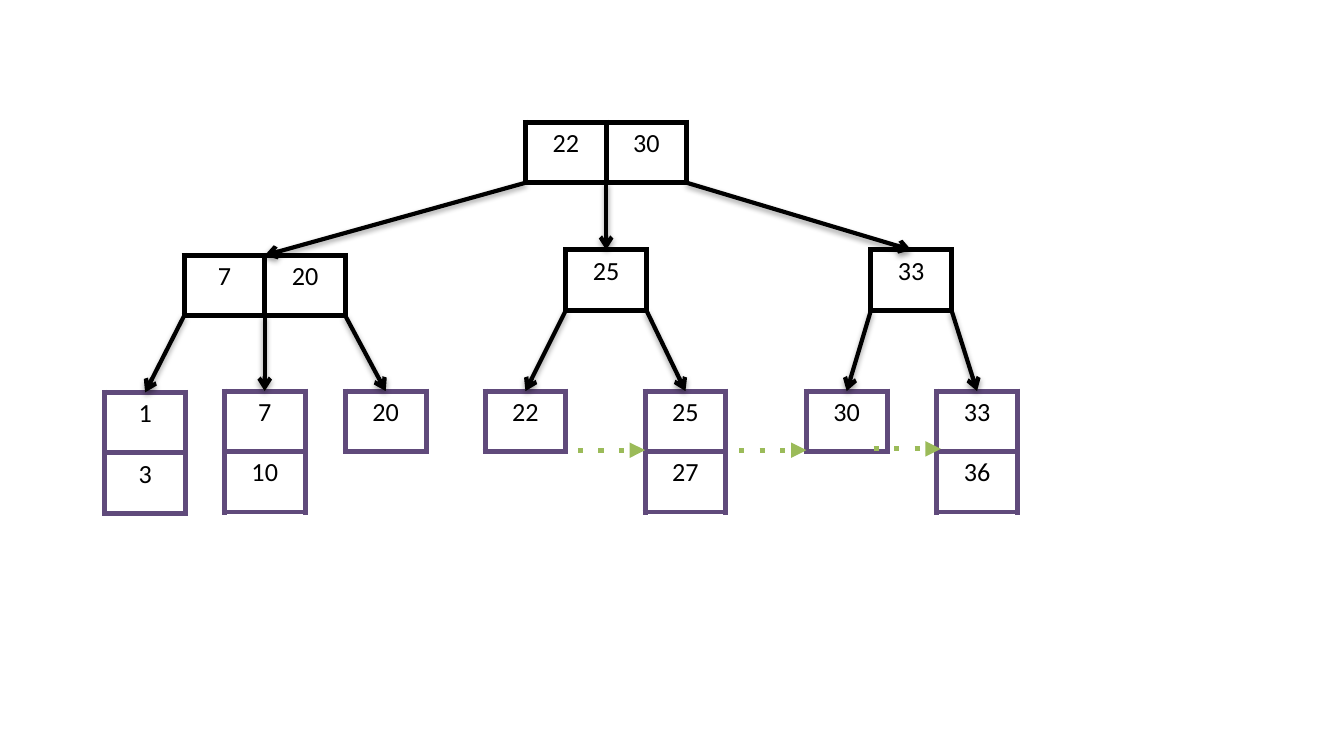
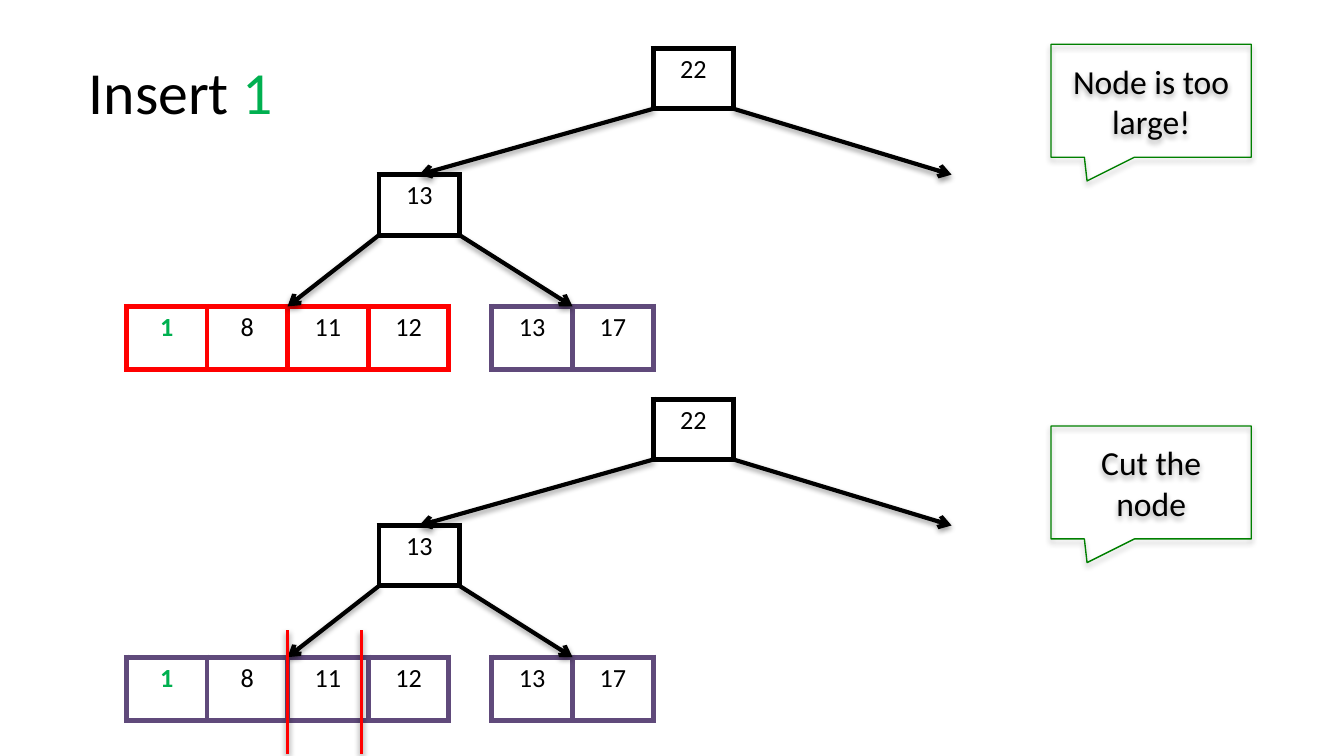
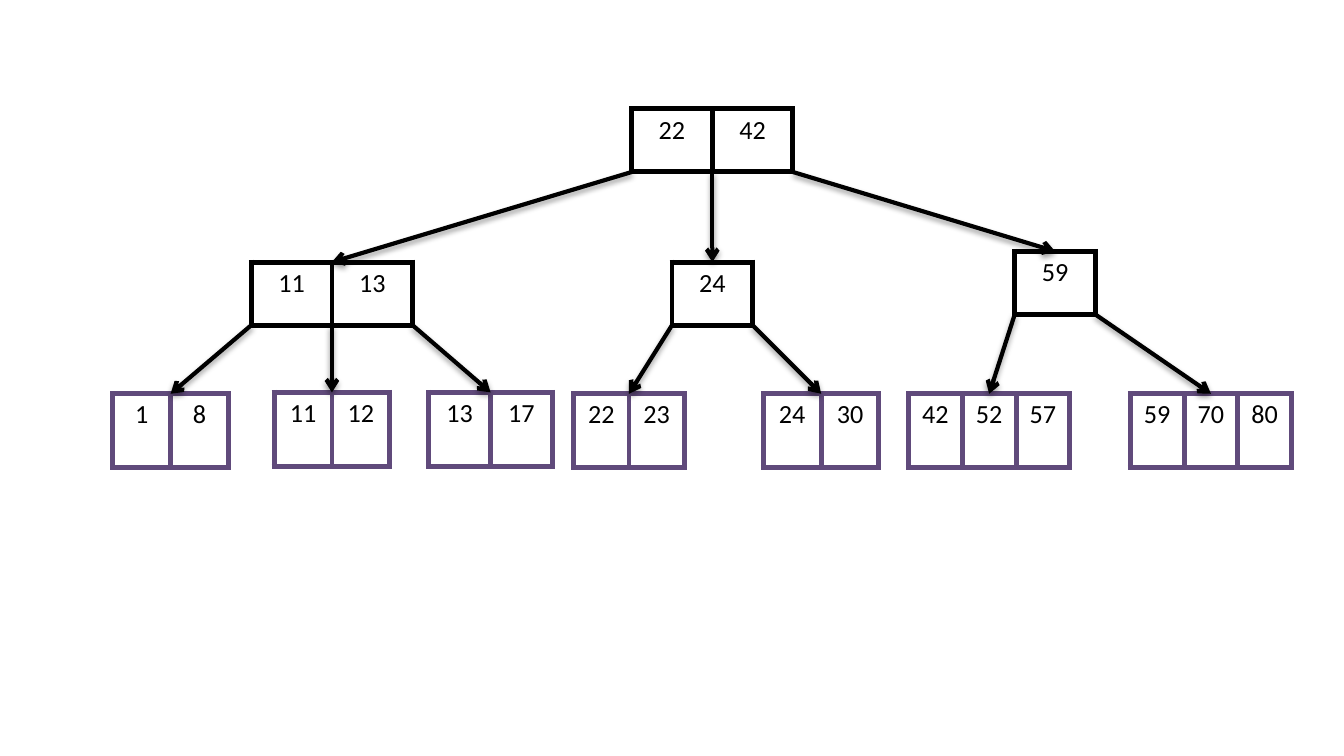
from dataclasses import dataclass

from lxml import etree
from pptx import Presentation
from pptx.dml.color import RGBColor
from pptx.enum.shapes import MSO_CONNECTOR, MSO_SHAPE
from pptx.enum.text import MSO_ANCHOR, MSO_AUTO_SIZE, PP_ALIGN
from pptx.oxml.ns import qn
from pptx.util import Inches, Pt

STRAIGHT = MSO_CONNECTOR.STRAIGHT
CALLOUT = MSO_SHAPE.RECTANGULAR_CALLOUT
TOP, MIDDLE = MSO_ANCHOR.TOP, MSO_ANCHOR.MIDDLE
GROW = MSO_AUTO_SIZE.SHAPE_TO_FIT_TEXT
LEFT, CENTER = PP_ALIGN.LEFT, PP_ALIGN.CENTER

FONT = "Calibri"
BLACK = "000000"
PURPLE = "604A7B"
RED = "FF0000"
NEW_KEY_GREEN = "00B050"
LINK_GREEN = "9BBB59"
CALLOUT_GREEN = "008000"
TITLE_ONLY, BLANK = 5, 6


@dataclass
class Node:
    keys: list
    x: float
    y: float
    children: tuple = ()
    cell_width: float = 0.6
    cell_height: float = 0.45
    color: str = BLACK
    stacked: bool = False
    new_key: str = ""

    @property
    def rows(self):
        return len(self.keys) if self.stacked else 1

    @property
    def columns(self):
        return 1 if self.stacked else len(self.keys)

    @property
    def width(self):
        return self.columns * self.cell_width

    @property
    def height(self):
        return self.rows * self.cell_height


def leaf(keys, x, y, color=PURPLE, **options):
    return Node(keys, x, y, color=color, **options)


def rgb(color):
    return RGBColor.from_string(color)


def format_run(run, size, color=BLACK, bold=False):
    run.font.name = FONT
    run.font.size = Pt(size)
    run.font.bold = bold
    run.font.color.rgb = rgb(color)


def add_child(parent, tag, **attributes):
    return etree.SubElement(parent, qn(tag), attributes)


def set_shadow(shape, opacity, distance):
    effects = add_child(shape.element.spPr, "a:effectLst")
    if opacity:
        shadow = add_child(effects, "a:outerShdw", blurRad=str(Pt(3.1)), dist=str(Pt(distance)),
                           dir="5400000", rotWithShape="0")
        shade = add_child(shadow, "a:srgbClr", val=BLACK)
        add_child(shade, "a:alpha", val=str(opacity * 1000))


def draw_line(slide, start, end, color=BLACK, weight=2.25, head=None, dash=None, opacity=38):
    connector = slide.shapes.add_connector(STRAIGHT, *map(Inches, (*start, *end)))
    connector.line.color.rgb = rgb(color)
    connector.line.width = Pt(weight)
    outline = connector.element.spPr.find(qn("a:ln"))
    if dash:
        add_child(outline, "a:prstDash", val=dash)
    if head:
        add_child(outline, "a:tailEnd", type=head)
    set_shadow(connector, opacity, 1.6)


def set_borders(cell, color):
    properties = cell._tc.get_or_add_tcPr()
    for position, side in enumerate(("a:lnL", "a:lnR", "a:lnT", "a:lnB")):
        border = etree.Element(qn(side), w=str(Pt(3)))
        add_child(add_child(border, "a:solidFill"), "a:srgbClr", val=color)
        properties.insert(position, border)


def draw_node(slide, node, left, top):
    keys_table = slide.shapes.add_table(
        node.rows, node.columns, Inches(left + node.x), Inches(top + node.y),
        Inches(node.width), Inches(node.height)).table
    keys_table.first_row = keys_table.horz_banding = False
    for column in keys_table.columns:
        column.width = Inches(node.cell_width)
    for row in keys_table.rows:
        row.height = Inches(node.cell_height)
    for key, cell in zip(node.keys, keys_table.iter_cells()):
        cell.margin_left = cell.margin_right = Inches(0.1)
        cell.margin_top = cell.margin_bottom = Inches(0.04)
        cell.vertical_anchor = TOP
        cell.fill.background()
        set_borders(cell, node.color)
        paragraph = cell.text_frame.paragraphs[0]
        paragraph.text = key
        paragraph.alignment = CENTER
        is_new = key == node.new_key
        format_run(paragraph.runs[0], 14, NEW_KEY_GREEN if is_new else BLACK, is_new)


def draw_tree(slide, node, left, top):
    if node.keys:
        draw_node(slide, node, left, top)
    for index, child in enumerate(node.children):
        draw_tree(slide, child, left, top)
        share = index / (len(node.children) - 1)
        start = (left + node.x + share * node.width, top + node.y + node.height)
        end = (left + child.x + child.width / 2, top + child.y)
        draw_line(slide, start, end, head="arrow")


def draw_leaf_links(slide, left, top):
    for x, y in ((0, 0.01), (1.2, 0.01), (2.2, 0)):
        draw_line(slide, (left + x, top + y), (left + x + 0.5, top + y),
                  LINK_GREEN, 2.75, "triangle", "dot", 0)


def draw_callout(slide, message, left, top):
    callout = slide.shapes.add_shape(CALLOUT, Inches(left), Inches(top), Inches(1.49), Inches(0.84))
    callout.adjustments[0] = -0.32
    callout.adjustments[1] = 0.71
    callout.fill.background()
    callout.line.color.rgb = rgb(CALLOUT_GREEN)
    callout.line.width = Pt(0.75)
    set_shadow(callout, 35, 1.8)
    frame = callout.text_frame
    frame.word_wrap = True
    frame.vertical_anchor = MIDDLE
    frame.text = message
    frame.paragraphs[0].alignment = CENTER
    format_run(frame.paragraphs[0].runs[0], 18)


def draw_insert_title(slide, left, top):
    title = slide.shapes.title
    title.left, title.top, title.width, title.height = map(Inches, (left, top, 2.1, 0.64))
    frame = title.text_frame
    frame.word_wrap = True
    frame.auto_size = GROW
    frame.vertical_anchor = TOP
    paragraph = frame.paragraphs[0]
    paragraph.alignment = LEFT
    for text, color in (("Insert ", BLACK), ("1", NEW_KEY_GREEN)):
        run = paragraph.add_run()
        run.text = text
        format_run(run, 32, color)


def draw_insert_step(slide, left, top, full_leaf_color):
    full_leaf = leaf(["1", "8", "11", "12"], 0, 1.92, full_leaf_color, cell_height=0.47, new_key="1")
    next_leaf = leaf(["13", "17"], 2.72, 1.92, cell_height=0.47)
    omitted_branch = Node([], 6.14, 0.94)
    root = Node(["22"], 3.92, 0, (
        Node(["13"], 1.88, 0.94, (full_leaf, next_leaf)),
        omitted_branch))
    draw_tree(slide, root, left, top)


def draw_cuts(slide, left, top):
    for x in (0, 0.55):
        draw_line(slide, (left + x, top + 0.92), (left + x, top), RED, 2)


def build_linked_leaves_slide(deck):
    slide = deck.slides.add_slide(deck.slide_layouts[BLANK])
    root = Node(["22", "30"], 3.13, 0, (
        Node(["7", "20"], 0.59, 0.99, (
            leaf(["1", "3"], 0, 2.01, stacked=True),
            leaf(["7", "10"], 0.89, 2, stacked=True),
            leaf(["20"], 1.79, 2))),
        Node(["25"], 3.43, 0.95, (
            leaf(["22"], 2.83, 2),
            leaf(["25", "27"], 4.02, 2, stacked=True))),
        Node(["33"], 5.7, 0.95, (
            leaf(["30"], 5.22, 2),
            leaf(["33", "36"], 6.19, 2, stacked=True)))))
    draw_tree(slide, root, 0.78, 0.91)
    draw_leaf_links(slide, 4.3, 3.34)


def build_insert_slide(deck):
    slide = deck.slides.add_slide(deck.slide_layouts[TITLE_ONLY])
    draw_insert_title(slide, 0.56, 0.36)
    draw_insert_step(slide, 0.94, 0.36, RED)
    draw_callout(slide, "Node is too large!", 7.82, 0.33)
    draw_insert_step(slide, 0.94, 2.97, PURPLE)
    draw_callout(slide, "Cut the node", 7.82, 3.17)
    draw_cuts(slide, 2.14, 4.69)


def build_wide_leaves_slide(deck):
    slide = deck.slides.add_slide(deck.slide_layouts[BLANK])

    def wide_leaf(keys, x, y, cell_width):
        return leaf(keys, x, y, cell_width=cell_width, cell_height=0.55)

    def inner(keys, x, y, *children):
        return Node(keys, x, y, children, cell_height=0.47)

    root = inner(
        ["22", "42"], 3.86, 0,
        inner(["11", "13"], 1.03, 1.14,
              wide_leaf(["1", "8"], 0, 2.12, 0.43),
              wide_leaf(["11", "12"], 1.2, 2.11, 0.43),
              wide_leaf(["13", "17"], 2.35, 2.11, 0.46)),
        inner(["24"], 4.16, 1.14,
              wide_leaf(["22", "23"], 3.43, 2.12, 0.41),
              wide_leaf(["24", "30"], 4.84, 2.12, 0.43)),
        inner(["59"], 6.71, 1.06,
              wide_leaf(["42", "52", "57"], 5.92, 2.12, 0.4),
              wide_leaf(["59", "70", "80"], 7.57, 2.12, 0.4)))
    draw_tree(slide, root, 0.84, 0.81)


def main():
    deck = Presentation()
    deck.slide_width = Inches(10)
    deck.slide_height = Inches(10 * 9 / 16)
    build_linked_leaves_slide(deck)
    build_insert_slide(deck)
    build_wide_leaves_slide(deck)
    deck.save("out.pptx")


if __name__ == "__main__":
    main()
